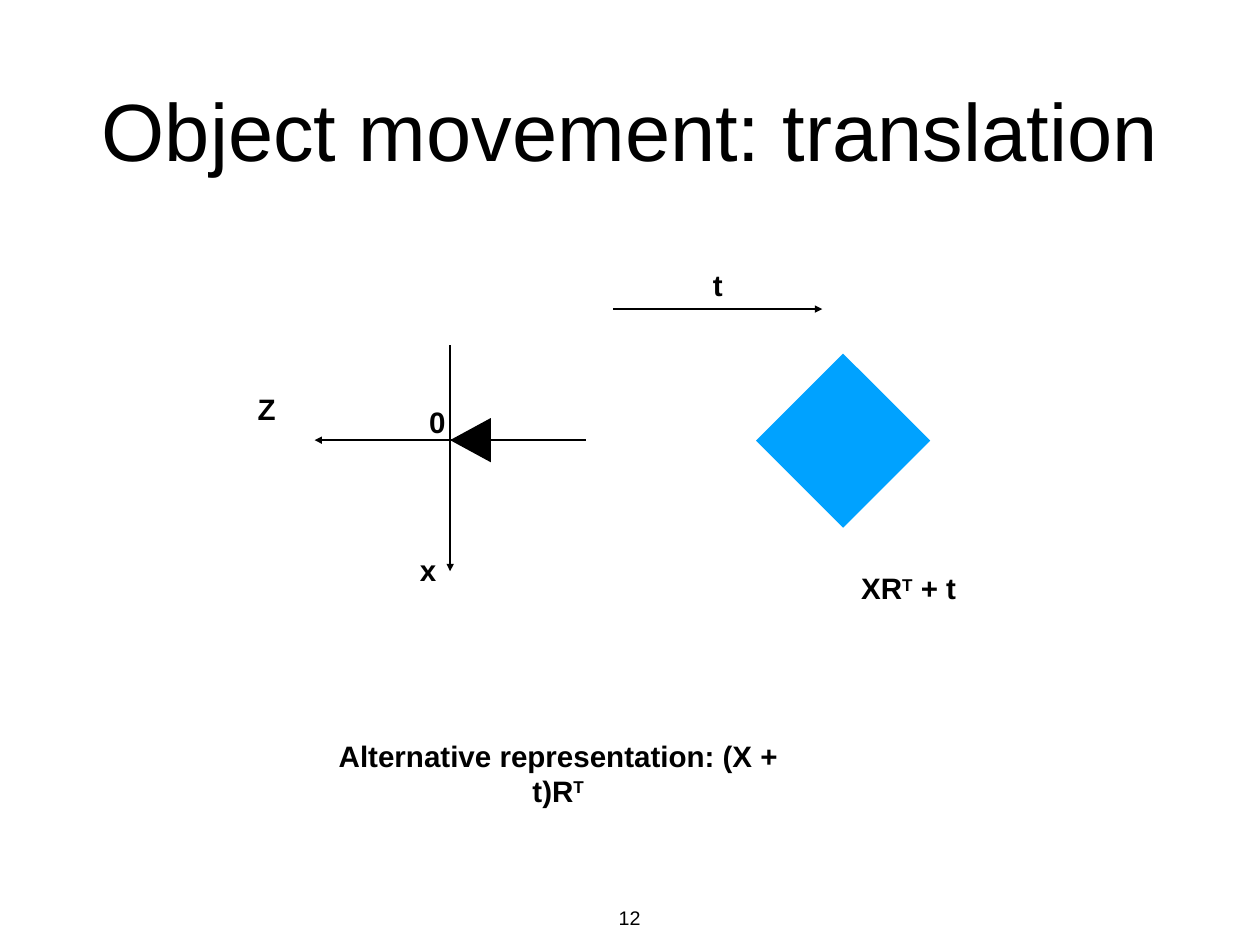
from lxml import etree
from pptx import Presentation
from pptx.dml.color import RGBColor
from pptx.enum.shapes import MSO_CONNECTOR, MSO_SHAPE
from pptx.enum.text import MSO_ANCHOR, PP_ALIGN
from pptx.oxml.ns import qn
from pptx.util import Inches, Pt

STRAIGHT = MSO_CONNECTOR.STRAIGHT
RECTANGLE = MSO_SHAPE.RECTANGLE
MIDDLE, TOP = MSO_ANCHOR.MIDDLE, MSO_ANCHOR.TOP
CENTER = PP_ALIGN.CENTER

THEME = {
    "font": "Arial",
    "ink": RGBColor(0x00, 0x00, 0x00),
    "object": RGBColor(0x00, 0xA2, 0xFF),
    "title": Pt(66),
    "label": Pt(24),
    "number": Pt(16),
    "line": Pt(2),
    "inset": Inches(0.06),
    "superscript": "30000",
}

SLIDE_SIZE = (14.22, 10.67)
TITLE = ("Object movement: translation", (1.04, 0.28, 12.14, 2.36))
PAGE_NUMBER = ("12", (6.92, 10.17, 0.37, 0.35))
ORIGIN_X, ORIGIN_Y = 5.08, 4.97
ARROWS = [
    ((ORIGIN_X, 3.9), (ORIGIN_X, 6.45)),
    ((6.61, ORIGIN_Y), (3.55, ORIGIN_Y)),
    ((6.92, 3.49), (9.28, 3.49)),
]
CAMERA_LENGTH, CAMERA_HALF_WIDTH = 0.46, 0.25
OBJECT_BOX = (8.82, 4.28, 1.39, 1.39)
OBJECT_ROTATION = 315
LABEL_HEIGHT = 0.5
LABELS = [
    (["Z"], (2.84, 4.36), 0.34, False),
    (["x"], (4.68, 6.18), 0.3, False),
    (["0"], (4.78, 4.51), 0.31, False),
    (["t"], (7.98, 2.96), 0.24, False),
    (["XR", "T", " + t"], (9.64, 6.39), 1.23, False),
    (["Alternative representation: (X + t)R", "T"], (3.46, 8.48), 5.68, True),
]


def set_values(target, values):
    for name, value in values.items():
        setattr(target, name, value)


def write_text(shape, parts, size, bold=False, wrap=False, anchor=MIDDLE):
    frame = shape.text_frame
    margins = {f"margin_{side}": THEME["inset"] for side in ("left", "top", "right", "bottom")}
    set_values(frame, {**margins, "word_wrap": wrap, "vertical_anchor": anchor})
    paragraph = frame.paragraphs[0]
    paragraph.alignment = CENTER
    for index, part in enumerate(parts):
        run = paragraph.add_run()
        run.text = part
        set_values(run.font, {"name": THEME["font"], "size": size, "bold": bold})
        run.font.color.rgb = THEME["ink"]
        if index % 2:
            run.font._element.set("baseline", THEME["superscript"])


def add_label(slide, parts, box, size, **format_values):
    shape = slide.shapes.add_textbox(*map(Inches, box))
    write_text(shape, parts, size, **format_values)


def add_arrow(slide, start, end):
    connector = slide.shapes.add_connector(STRAIGHT, *map(Inches, start + end))
    connector.line.color.rgb = THEME["ink"]
    connector.line.width = THEME["line"]
    etree.SubElement(connector.line._get_or_add_ln(), qn("a:tailEnd"), type="triangle")
    etree.SubElement(connector._element.spPr, qn("a:effectLst"))


def fill_plain(shape, color):
    shape.shadow.inherit = False
    shape.fill.solid()
    shape.fill.fore_color.rgb = color
    shape.line.fill.background()


def add_camera(slide):
    base_x = ORIGIN_X + CAMERA_LENGTH
    base = [(base_x, ORIGIN_Y + side * CAMERA_HALF_WIDTH) for side in (-1, 1)]
    builder = slide.shapes.build_freeform(Inches(ORIGIN_X), Inches(ORIGIN_Y))
    builder.add_line_segments([(Inches(x), Inches(y)) for x, y in base], close=True)
    fill_plain(builder.convert_to_shape(), THEME["ink"])


def main():
    presentation = Presentation()
    presentation.slide_width, presentation.slide_height = map(Inches, SLIDE_SIZE)
    slide = presentation.slides.add_slide(presentation.slide_layouts[5])

    title_text, title_box = TITLE
    title = slide.shapes.title
    set_values(title, dict(zip(("left", "top", "width", "height"), map(Inches, title_box))))
    write_text(title, [title_text], THEME["title"], wrap=True)

    for start, end in ARROWS:
        add_arrow(slide, start, end)
    add_camera(slide)

    moved_object = slide.shapes.add_shape(RECTANGLE, *map(Inches, OBJECT_BOX))
    moved_object.rotation = OBJECT_ROTATION
    fill_plain(moved_object, THEME["object"])

    for parts, position, width, wrap in LABELS:
        box = (*position, width, LABEL_HEIGHT)
        add_label(slide, parts, box, THEME["label"], bold=True, wrap=wrap)
    number, number_box = PAGE_NUMBER
    add_label(slide, [number], number_box, THEME["number"], anchor=TOP)

    presentation.save("out.pptx")


if __name__ == "__main__":
    main()
